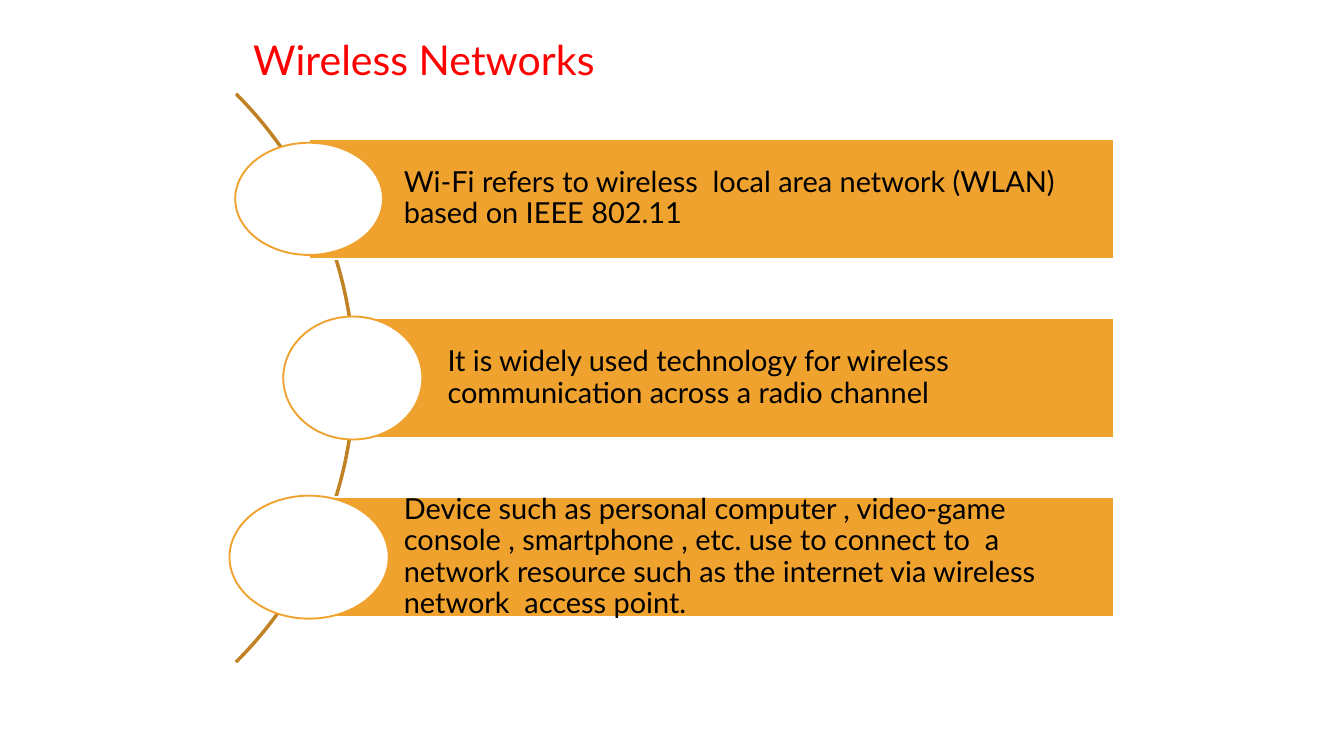
from dataclasses import dataclass

from pptx import Presentation
from pptx.dml.color import RGBColor
from pptx.enum.shapes import MSO_SHAPE as Preset
from pptx.enum.text import MSO_ANCHOR as Anchor, MSO_AUTO_SIZE as AutoSize, PP_ALIGN as Align
from pptx.shapes.autoshape import Shape
from pptx.slide import Slide
from pptx.text.text import TextFrame
from pptx.util import Inches, Pt

SLIDE_WIDTH, SLIDE_HEIGHT = Inches(20), Inches(11.25)

WHITE = RGBColor(0xFF, 0xFF, 0xFF)
BLACK = RGBColor(0x00, 0x00, 0x00)
RED = RGBColor(0xFF, 0x00, 0x00)
AMBER = RGBColor(0xF0, 0xA2, 0x2E)
DARK_AMBER = RGBColor(0xC0, 0x82, 0x25)

FONT = "Lato"

# All lengths below are percentages of the slide's width or height.
MIDDLE = 50
BAR_PITCH = 23.7
BAR_HEIGHT = 15.82
BAR_RIGHT = 82.9
ARC_CENTRE = -3.5
ARC_DIAMETER = 59.8


@dataclass(frozen=True)
class Point:
    text: str
    bar_left: float
    circle_width: float
    circle_height: float


POINTS = (
    Point("Wi-Fi refers to wireless  local area network (WLAN)  based on IEEE 802.11",
          23, 11, 14.84),
    Point("It is widely used technology for wireless communication across a radio channel",
          26.25, 10.35, 16.27),
    Point("Device such as personal computer , video-game console , smartphone , etc. "
          "use to connect to  a network resource such as the internet via wireless "
          "network  access point.",
          23, 11.85, 16.27),
)


def across(percent: float) -> int:
    return round(SLIDE_WIDTH * percent / 100)


def down(percent: float) -> int:
    return round(SLIDE_HEIGHT * percent / 100)


def add_centred(slide: Slide, preset: Preset, centre_x: int, centre_y: int,
                width: int, height: int, line: RGBColor,
                fill: RGBColor | None = None) -> Shape:
    """Draw a preset shape around its centre point, hollow if no fill is given."""
    shape = slide.shapes.add_shape(
        preset, centre_x - width // 2, centre_y - height // 2, width, height)
    shape.shadow.inherit = False
    if fill is None:
        shape.fill.background()
    else:
        shape.fill.solid()
        shape.fill.fore_color.rgb = fill
    shape.line.color.rgb = line
    shape.line.width = Pt(2)
    return shape


def write(frame: TextFrame, text: str, size: int, color: RGBColor) -> None:
    frame.word_wrap = True
    paragraph = frame.paragraphs[0]
    paragraph.alignment = Align.LEFT
    run = paragraph.add_run()
    run.text = text
    run.font.name = FONT
    run.font.size = Pt(size)
    run.font.color.rgb = color


def add_arc(slide: Slide) -> None:
    diameter = across(ARC_DIAMETER)
    arc = add_centred(slide, Preset.BLOCK_ARC, across(ARC_CENTRE), down(MIDDLE),
                      diameter, diameter, DARK_AMBER)
    # Angles are in units of 100000/60000 degrees: from 315 to 45 degrees.
    for index, value in enumerate((189, 27, 0.002)):
        arc.adjustments[index] = value


def add_point(slide: Slide, point: Point, centre_y: int) -> None:
    """Draw a text bar with a circle centred on its left edge."""
    bar = add_centred(slide, Preset.RECTANGLE,
                      across((point.bar_left + BAR_RIGHT) / 2), centre_y,
                      across(BAR_RIGHT - point.bar_left), down(BAR_HEIGHT),
                      WHITE, AMBER)
    frame = bar.text_frame
    frame.vertical_anchor = Anchor.MIDDLE
    frame.margin_left = across(7.05)
    frame.margin_right = frame.margin_top = frame.margin_bottom = across(0.45)
    write(frame, point.text, 31, BLACK)
    frame.paragraphs[0].line_spacing = 0.9

    add_centred(slide, Preset.OVAL, across(point.bar_left), centre_y,
                across(point.circle_width), down(point.circle_height), AMBER, WHITE)


def add_title(slide: Slide) -> None:
    title = slide.shapes.add_textbox(across(18.35), down(4.09), across(28.35), down(7.47))
    write(title.text_frame, "Wireless Networks", 44, RED)
    title.text_frame.auto_size = AutoSize.SHAPE_TO_FIT_TEXT


def main() -> None:
    deck = Presentation()
    deck.slide_width, deck.slide_height = SLIDE_WIDTH, SLIDE_HEIGHT
    slide = deck.slides.add_slide(deck.slide_layouts[6])

    add_arc(slide)
    for step, point in enumerate(POINTS, start=-1):
        add_point(slide, point, down(MIDDLE + step * BAR_PITCH))
    add_title(slide)

    deck.save("out.pptx")


if __name__ == "__main__":
    main()
